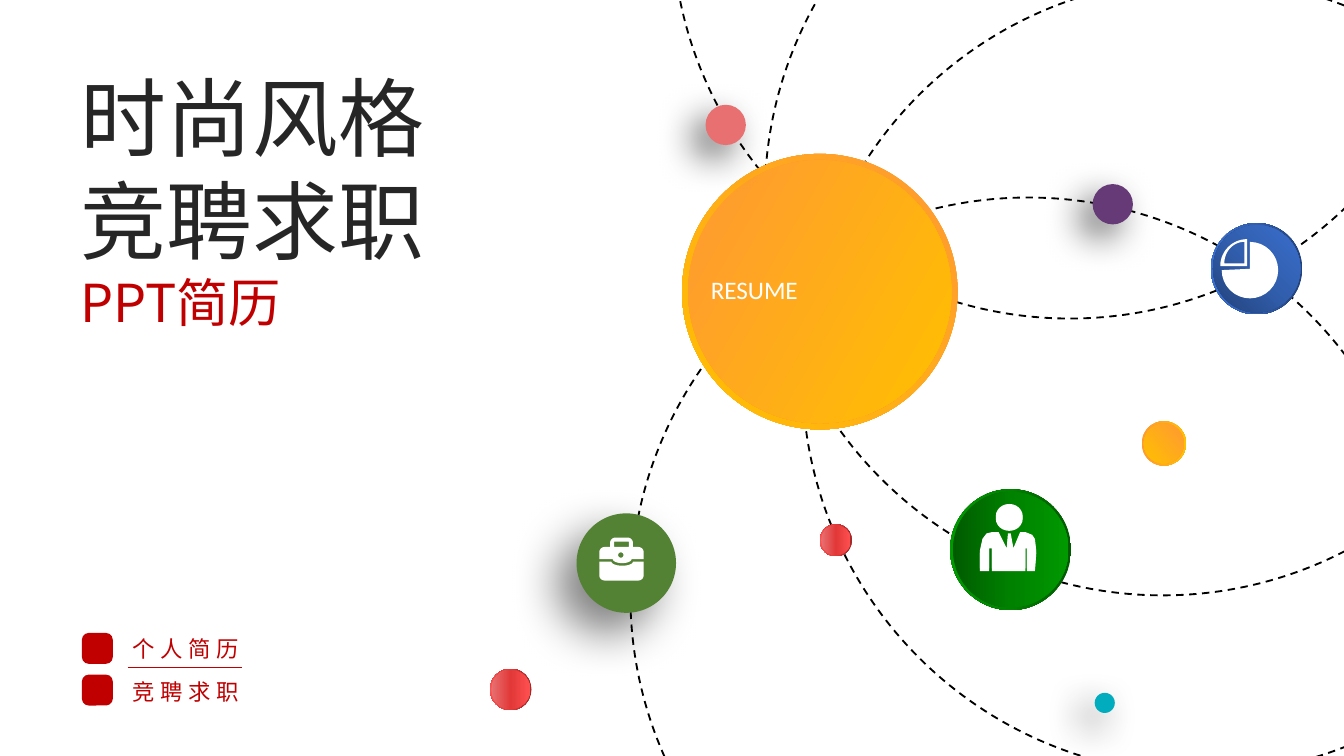
"""Build a résumé cover slide with orbits, planets and icons."""
import math

import pptx
import pptx.dml.color
import pptx.enum.dml
import pptx.enum.shapes
import pptx.enum.text
import pptx.oxml.ns
import pptx.util
from lxml import etree

Inches = pptx.util.Inches
Pt = pptx.util.Pt
SHAPE = pptx.enum.shapes.MSO_SHAPE
CJK = "Noto Sans CJK SC"
COLORS = {
    "white": "FFFFFF", "black": "000000", "ink": "262626", "accent": "C00000",
    "green": "548235", "coral": "E87071", "purple": "663A77", "teal": "01ACBE",
}
GRADIENTS = {
    "orange": ["FF9933", "FFC000"],
    "blue": ["23427A", "315EAD", "3A6FCE"],
    "crimson": ["9F2828", "E23838", "FF5050"],
    "red": ["E87071", "E23838", "FF5050"],
    "forest": ["005B00", "008100", "009900"],
}
TITLE = [("时尚风格", 46, "ink"), ("竞聘求职", 46, "ink"), ("PPT简历", 28, "accent")]
LABELS = ["个人简历", "竞聘求职"]
ORBIT_SIZE = 5.92
ORBITS = [(4.69, 1.47), (5.69, -1.49), (5.97, -0.16), (5, -3.55)]
PLANETS = [
    ("rimmed", 6.1, 2.17, 2.05, 1.96, "orange", 140, "orange", 30),
    ("plain", 4.66, 4.19, 0.74, "green", 50, 25, 15),
    ("plain", 5.4, 0.93, 0.3, "coral", 60, 20, 10),
    ("rimmed", 8.66, 3.3, 0.33, 0.3, "orange", 0, "orange", 140),
    ("rimmed", 9.35, 2, 0.68, 0.65, "blue", 180, "blue", 315),
    ("rimmed", 6.22, 4.02, 0.24, 0.22, "crimson", 180, "red", 0),
    ("rimmed", 3.8, 5.13, 0.31, 0.29, "crimson", 180, "red", 0),
    ("plain", 8.28, 1.52, 0.3, "purple", 60, 20, 10),
    ("plain", 8.22, 5.23, 0.15, "teal", 60, 20, 10),
    ("rimmed", 7.52, 4.09, 0.9, 0.86, "forest", 180, "forest", 0),
]


def arc(x, y, radius_x, radius_y, start, end, steps=24):
    """Return points along an ellipse, angles clockwise from the right."""
    angles = [math.radians(start + (end - start) * i / steps) for i in range(steps + 1)]
    return [(x + radius_x * math.cos(a), y + radius_y * math.sin(a)) for a in angles]


BRIEFCASE = [
    [[(4.46, 4.18), *arc(4.63, 4.18, 0.08, 0.03, 180, 0), (4.79, 4.18),
      *arc(4.75, 4.28, 0.04, 0.04, 0, 90), *arc(4.5, 4.28, 0.04, 0.04, 90, 180)]],
    [[(4.46, 4.16), *arc(4.5, 4.11, 0.04, 0.04, 180, 270), (4.54, 4.07),
      *arc(4.58, 4.04, 0.04, 0.04, 180, 270), *arc(4.67, 4.04, 0.04, 0.04, 270, 360),
      (4.71, 4.07), *arc(4.75, 4.11, 0.04, 0.04, 270, 360), (4.79, 4.16),
      *arc(4.63, 4.16, 0.07, 0.03, 0, 180)],
     [(4.57, 4.03), (4.68, 4.03), (4.68, 4.07), (4.57, 4.07)],
     arc(4.62, 4.13, 0.02, 0.02, 0, 360)],
]
HEAD = [arc(7.51, 3.84, 0.1, 0.09, 0, 360)]
SUIT = [[
    (7.31, 4.01), (7.34, 3.97), (7.38, 3.96), (7.43, 3.96), (7.49, 4.08), (7.5, 3.97),
    (7.52, 3.97), (7.54, 4.08), (7.59, 3.96), (7.63, 3.96), (7.68, 3.98), (7.7, 4.01),
    (7.71, 4.1), (7.7, 4.23), (7.64, 4.23), (7.64, 4.06), (7.63, 4.06), (7.63, 4.23),
    (7.38, 4.23), (7.38, 4.06), (7.36, 4.06), (7.36, 4.23), (7.29, 4.23), (7.29, 4.1),
]]
PERSON = [[[(x, y + drop) for x, y in outline] for outline in part]
          for drop in (0.02, 0) for part in (HEAD, SUIT)]
PIE = [
    [[*arc(9.3, 2.01, 0.21, 0.21, 180, -90), (9.3, 2)]],
    [[*arc(9.28, 1.98, 0.2, 0.2, 180, 270), (9.28, 1.98)],
     [*arc(9.26, 1.96, 0.15, 0.16, 180, 270), (9.26, 1.96)]],
]


def rgb(name):
    return pptx.dml.color.RGBColor.from_string(COLORS[name])


def add_shape(shapes, kind, left, top, width, height, color=None):
    shape = shapes.add_shape(kind, *map(Inches, (left, top, width, height)))
    shape.shadow.inherit = False
    shape.line.fill.background()
    if color:
        shape.fill.solid()
        shape.fill.fore_color.rgb = rgb(color)
    else:
        shape.fill.background()
    return shape


def add_disc(shapes, kind, x, y, size, color=None):
    return add_shape(shapes, kind, x - size / 2, y - size / 2, size, size, color)


def set_gradient(shape, colors, angle):
    shape.fill.gradient()
    shape.fill.gradient_angle = -angle % 360
    stops = shape._element.spPr.find(".//" + pptx.oxml.ns.qn("a:gsLst"))
    for stop in list(stops):
        stops.remove(stop)
    for i, color in enumerate(colors):
        position = str(100000 * i // (len(colors) - 1))
        stop = etree.SubElement(stops, pptx.oxml.ns.qn("a:gs"), pos=position)
        etree.SubElement(stop, pptx.oxml.ns.qn("a:srgbClr"), val=color)


def set_shadow(shape, opacity, blur, distance):
    effects = shape._element.spPr.find(pptx.oxml.ns.qn("a:effectLst"))
    shadow = etree.SubElement(
        effects, pptx.oxml.ns.qn("a:outerShdw"), blurRad=str(Pt(blur)), dist=str(Pt(distance)),
        dir=str(135 * 60000), algn="tr", rotWithShape="0")
    color = etree.SubElement(shadow, pptx.oxml.ns.qn("a:srgbClr"), val=COLORS["black"])
    etree.SubElement(color, pptx.oxml.ns.qn("a:alpha"), val=str(opacity * 1000))


def add_planet(shapes, style, x, y, size, *details):
    if style == "plain":
        color, *shadow = details
        set_shadow(add_disc(shapes, SHAPE.OVAL, x, y, size, color), *shadow)
        return
    core_size, rim, rim_angle, core, core_angle = details
    group = shapes.add_group_shape()
    ring = add_disc(group.shapes, SHAPE.DONUT, x, y, size)
    ring.adjustments[0] = 0.05
    set_gradient(ring, GRADIENTS[rim], rim_angle)
    disc = add_disc(group.shapes, SHAPE.OVAL, x, y, core_size)
    set_gradient(disc, GRADIENTS[core], core_angle)


def add_icon(shapes, parts):
    group = shapes.add_group_shape()
    for outlines in parts:
        builder = None
        for outline in outlines:
            points = [(Inches(x), Inches(y)) for x, y in outline]
            if builder is None:
                builder = group.shapes.build_freeform(*points[0])
            else:
                builder.move_to(*points[0])
            builder.add_line_segments(points[1:], close=True)
        shape = builder.convert_to_shape()
        shape.shadow.inherit = False
        shape.fill.solid()
        shape.fill.fore_color.rgb = rgb("white")
        shape.line.fill.background()


def set_font(paragraph, name, size, color, spacing=0):
    font = paragraph.font
    font.name, font.size, font.color.rgb = name, Pt(size), rgb(color)
    properties = paragraph._p.pPr.find(pptx.oxml.ns.qn("a:defRPr"))
    etree.SubElement(properties, pptx.oxml.ns.qn("a:ea"), typeface=name)
    if spacing:
        properties.set("spc", str(spacing * 100))


def add_text(shapes, left, top, width, height, text, *font):
    frame = shapes.add_textbox(*map(Inches, (left, top, width, height))).text_frame
    frame.word_wrap = False
    frame.text = text
    set_font(frame.paragraphs[0], *font)


def fill_title(title):
    title.left, title.top, title.width, title.height = map(Inches, (0.5, 0.43, 3.23, 2.19))
    frame = title.text_frame
    frame.word_wrap = True
    frame.vertical_anchor = pptx.enum.text.MSO_ANCHOR.TOP
    frame.text = "\n".join(text for text, _, _ in TITLE)
    for paragraph, (_, size, color) in zip(frame.paragraphs, TITLE):
        paragraph.alignment = pptx.enum.text.PP_ALIGN.LEFT
        set_font(paragraph, CJK, size, color)


def main():
    presentation = pptx.Presentation()
    presentation.slide_width = Inches(10)
    presentation.slide_height = Inches(10 * 9 / 16)
    slide = presentation.slides.add_slide(presentation.slide_layouts[5])
    shapes = slide.shapes
    fill_title(shapes.title)
    for left, top in ORBITS:
        orbit = add_shape(shapes, SHAPE.OVAL, left, top, ORBIT_SIZE, ORBIT_SIZE)
        orbit.line.color.rgb = rgb("black")
        orbit.line.width = Pt(1)
        orbit.line.dash_style = pptx.enum.dml.MSO_LINE.DASH
    for planet in PLANETS:
        add_planet(shapes, *planet)
    add_text(shapes, 5.19, 1.99, 1.79, 0.4, "RESUME", "Calibri", 13.5, "white")
    legend = shapes.add_group_shape().shapes
    rule = legend.add_connector(
        pptx.enum.shapes.MSO_CONNECTOR.STRAIGHT, *map(Inches, (0.95, 4.97, 1.8, 4.97)))
    rule.line.color.rgb = rgb("accent")
    rule.line.width = Pt(0.5)
    etree.SubElement(rule._element.spPr, pptx.oxml.ns.qn("a:effectLst"))
    for i, label in enumerate(LABELS):
        add_text(legend, 0.89, 4.68 + 0.32 * i, 1.04, 0.3, label, CJK, 12, "accent", 3)
        marker = add_shape(legend, SHAPE.ROUNDED_RECTANGLE, 0.61, 4.71 + 0.31 * i, 0.23, 0.23, "accent")
        marker.adjustments[0] = 0.22
    for icon in (BRIEFCASE, PERSON, PIE):
        add_icon(shapes, icon)
    presentation.save("out.pptx")


if __name__ == "__main__":
    main()
